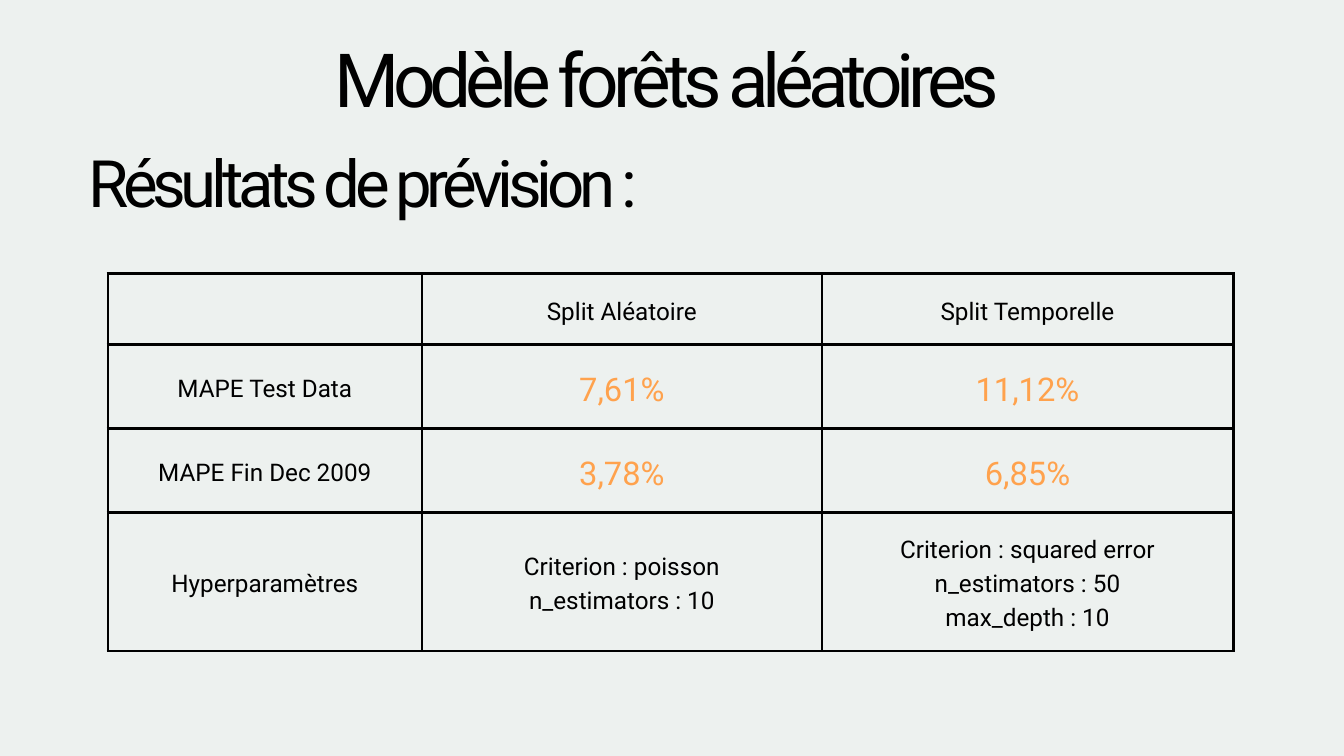
from dataclasses import dataclass

from lxml import etree
from pptx import Presentation
from pptx.dml.color import RGBColor
from pptx.enum.text import MSO_ANCHOR, MSO_AUTO_SIZE, PP_ALIGN
from pptx.oxml.ns import qn
from pptx.util import Pt

PX = 9525  # EMU per px, 1920 px across 20 inches
CENTER = PP_ALIGN.CENTER
MIDDLE = MSO_ANCHOR.MIDDLE
GROW = MSO_AUTO_SIZE.SHAPE_TO_FIT_TEXT


@dataclass(frozen=True)
class Theme:
    font: str = "Roboto"
    background: str = "EDF1EF"
    ink: str = "000000"
    accent: str = "FFA24D"
    title: int = 80
    subtitle: int = 70
    score: int = 35
    body: int = 26
    leading: float = 1.4
    border: int = 3


THEME = Theme()

RESULTS = [
    ["", "Split Aléatoire", "Split Temporelle"],
    ["MAPE Test Data", "7,61%", "11,12%"],
    ["MAPE Fin Dec 2009", "3,78%", "6,85%"],
    ["Hyperparamètres",
     "Criterion : poisson\nn_estimators : 10",
     "Criterion : squared error\nn_estimators : 50\nmax_depth : 10"],
]
COLUMN_WIDTHS = [449, 571, 588]
ROW_HEIGHTS = [101, 120, 120, 198]
CELL_PADDING = 20


def px(length):
    return int(length * PX)


def write(frame, text, size, color=THEME.ink, tracking=0):
    """Fill a text frame with one centred paragraph per line of text."""
    frame.word_wrap = True
    for index, line in enumerate(text.split("\n")):
        paragraph = frame.add_paragraph() if index else frame.paragraphs[0]
        paragraph.alignment = CENTER
        paragraph.line_spacing = Pt(size * THEME.leading)
        run = paragraph.add_run()
        run.text = line
        run.font.name = THEME.font
        run.font.size = Pt(size)
        run.font.color.rgb = RGBColor.from_string(color)
        if tracking:
            run.font._element.set("spc", str(round(tracking * 100)))


def add_heading(slide, box, text, size, tracking):
    frame = slide.shapes.add_textbox(*map(px, box)).text_frame
    frame.margin_left = frame.margin_right = 0
    frame.margin_top = frame.margin_bottom = 0
    frame.auto_size = GROW
    write(frame, text, size, tracking=tracking)


def set_borders(cell):
    properties = cell._tc.get_or_add_tcPr()
    for position, side in enumerate(("a:lnL", "a:lnR", "a:lnT", "a:lnB")):
        line = etree.Element(qn(side), w=str(Pt(THEME.border)))
        fill = etree.SubElement(line, qn("a:solidFill"))
        etree.SubElement(fill, qn("a:srgbClr"), val=THEME.ink)
        properties.insert(position, line)


def add_results_table(slide, left, top):
    box = (left, top, sum(COLUMN_WIDTHS), sum(ROW_HEIGHTS))
    table = slide.shapes.add_table(
        len(ROW_HEIGHTS), len(COLUMN_WIDTHS), *map(px, box)).table
    table.first_row = table.horz_banding = False
    for column, width in zip(table.columns, COLUMN_WIDTHS):
        column.width = px(width)
    for row, height, texts in zip(table.rows, ROW_HEIGHTS, RESULTS):
        row.height = px(height)
        for cell, text in zip(row.cells, texts):
            cell.fill.background()
            set_borders(cell)
            cell.vertical_anchor = MIDDLE
            cell.margin_left = cell.margin_right = px(CELL_PADDING)
            cell.margin_top = cell.margin_bottom = px(CELL_PADDING)
            if text.endswith("%"):
                write(cell.text_frame, text, THEME.score, THEME.accent)
            elif text:
                write(cell.text_frame, text, THEME.body)


def main():
    deck = Presentation()
    deck.slide_width, deck.slide_height = px(1920), px(1080)
    slide = deck.slides.add_slide(deck.slide_layouts[6])
    background = slide.background.fill
    background.solid()
    background.fore_color.rgb = RGBColor.from_string(THEME.background)

    add_results_table(slide, 154, 391)
    add_heading(slide, (108, 184, 820, 127), "Résultats de prévision :",
                THEME.subtitle, tracking=-5.7)
    add_heading(slide, (440, 26, 1025, 138), "Modèle forêts aléatoires",
                THEME.title, tracking=-6.6)
    deck.save("out.pptx")


if __name__ == "__main__":
    main()
